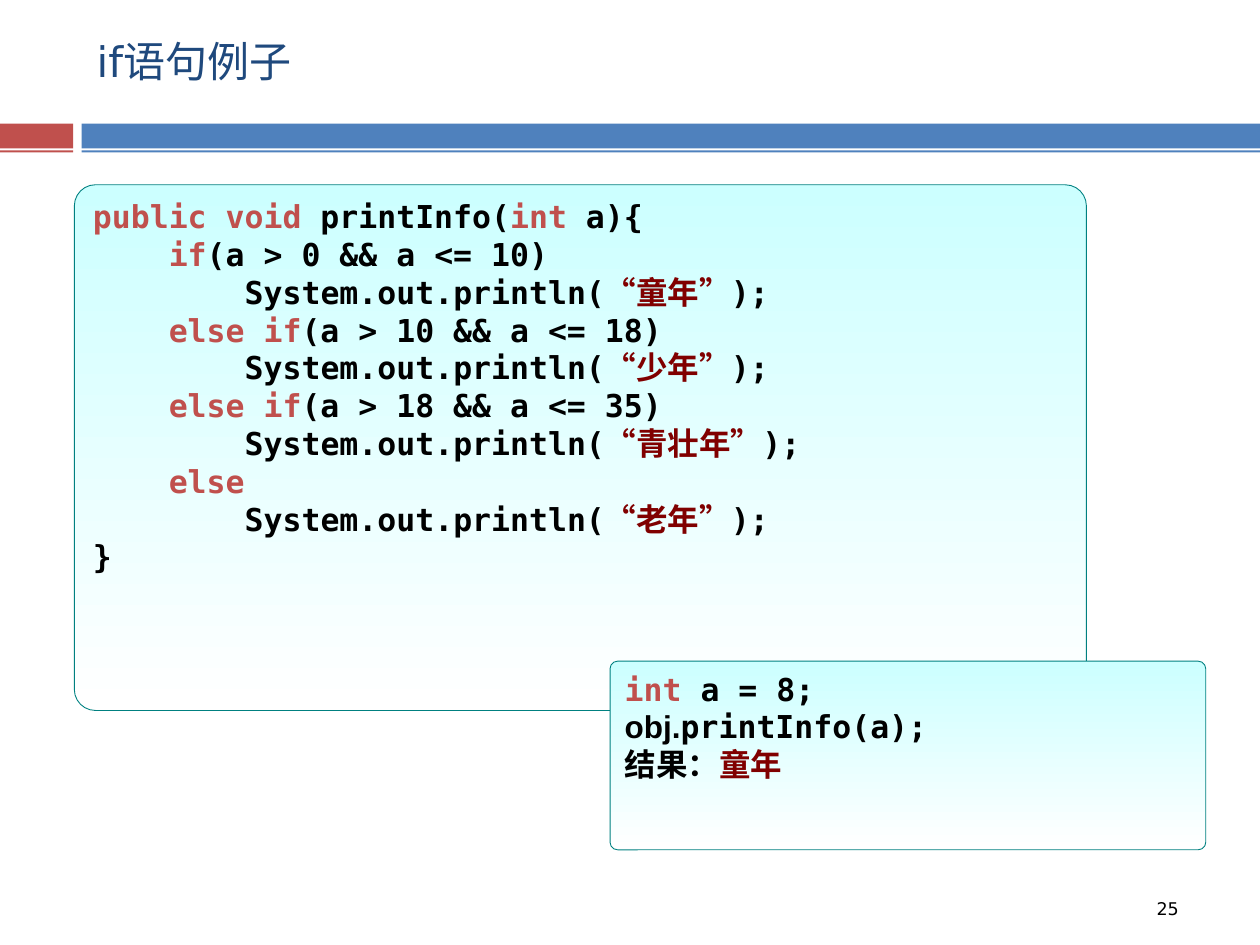
from pptx import Presentation
from pptx.dml.color import RGBColor
from pptx.enum.shapes import MSO_SHAPE
from pptx.enum.text import MSO_ANCHOR
from pptx.util import Pt

RECT = MSO_SHAPE.RECTANGLE
ROUNDED = MSO_SHAPE.ROUNDED_RECTANGLE
TOP, MIDDLE = MSO_ANCHOR.TOP, MSO_ANCHOR.MIDDLE

RED = RGBColor(0xC0, 0x50, 0x4D)
BLUE = RGBColor(0x4F, 0x81, 0xBD)
NAVY = RGBColor(0x1F, 0x49, 0x7D)
BLACK = RGBColor(0, 0, 0)
MAROON = RGBColor(0x80, 0, 0)
TEAL = RGBColor(0, 0x80, 0x80)
PALE_CYAN = RGBColor(0xCC, 0xFF, 0xFF)
WHITE = RGBColor(0xFF, 0xFF, 0xFF)

SANS, MONO, ARIAL = "DejaVu Sans", "DejaVu Sans Mono", "Arial"
CODE_SIZE = 18
LINE_PITCH = 21.6
INDENT_STEP = 43.35

TITLE = "if语句例子"
PAGE_NUMBER = "25"


def print_line(word):
    return 2, [("System.out.println(", BLACK), (f"“{word}”", MAROON), (");", BLACK)]


METHOD = [
    (0, [("public void", RED), (" printInfo(", BLACK), ("int", RED), (" a){", BLACK)]),
    (1, [("if", RED), ("(a > 0 && a <= 10)", BLACK)]),
    print_line("童年"),
    (1, [("else if", RED), ("(a > 10 && a <= 18)", BLACK)]),
    print_line("少年"),
    (1, [("else if", RED), ("(a > 18 && a <= 35)", BLACK)]),
    print_line("青壮年"),
    (1, [("else", RED)]),
    print_line("老年"),
    (0, [("}", BLACK)]),
]
CALL = [
    (0, [("int", RED), (" a = 8;", BLACK)]),
    (0, [("obj.", BLACK, ARIAL), ("printInfo(a);", BLACK)]),
    (0, [("结果：", BLACK), ("童年", MAROON, ARIAL)]),
]
CODE_BOXES = [
    ((42.5, 105.6, 578.3, 300.4), METHOD),
    ((348.6, 377.8, 340.4, 107.8), CALL),
]
BAND_COLUMNS = [(0, 41.8, RED), (46.6, 673.4, BLUE)]
BAND_ROWS = [(70.7, 14.1), (86, 1.2)]


def add_block(slide, kind, box):
    block = slide.shapes.add_shape(kind, *map(Pt, box))
    block.shadow.inherit = False
    return block


def add_label(slide, text, box, size, color, anchor):
    frame = slide.shapes.add_textbox(*map(Pt, box)).text_frame
    frame.word_wrap = True
    frame.vertical_anchor = anchor
    frame.text = text
    font = frame.paragraphs[0].runs[0].font
    font.name, font.size, font.color.rgb = SANS, Pt(size), color


def add_code(slide, box, lines):
    panel = add_block(slide, ROUNDED, box)
    panel.adjustments[0] = 0.04
    panel.fill.gradient()
    panel.fill.gradient_angle = 270
    for stop, color, position in zip(panel.fill.gradient_stops, (PALE_CYAN, WHITE), (0, 1)):
        stop.color.rgb = color
        stop.position = position
    panel.line.color.rgb = TEAL
    panel.line.width = Pt(0.5)
    frame = panel.text_frame
    frame.word_wrap = True
    frame.vertical_anchor = TOP
    frame.text = "\n".join("" for _ in lines)
    for paragraph, (level, pieces) in zip(frame.paragraphs, lines):
        properties = paragraph._p.get_or_add_pPr()
        properties.set("algn", "l")
        properties.set("marL", str(Pt(level * INDENT_STEP)))
        properties.set("indent", "0")
        paragraph.line_spacing = Pt(LINE_PITCH)
        for text, color, *face in pieces:
            run = paragraph.add_run()
            run.text = text
            run.font.name = face[0] if face else MONO
            run.font.size = Pt(CODE_SIZE)
            run.font.bold = True
            run.font.color.rgb = color


def main():
    deck = Presentation()
    deck.slide_width, deck.slide_height = Pt(720), Pt(540)
    slide = deck.slides.add_slide(deck.slide_layouts[6])
    for top, height in BAND_ROWS:
        for left, width, color in BAND_COLUMNS:
            band = add_block(slide, RECT, (left, top, width, height))
            band.fill.solid()
            band.fill.fore_color.rgb = color
            band.line.fill.background()
    add_label(slide, TITLE, (48.2, 0.7, 642.2, 67.7), 24, NAVY, MIDDLE)
    for box, lines in CODE_BOXES:
        add_code(slide, box, lines)
    add_label(slide, PAGE_NUMBER, (653.8, 509.8, 30.2, 26.6), 10, BLACK, TOP)
    deck.save("out.pptx")


if __name__ == "__main__":
    main()
